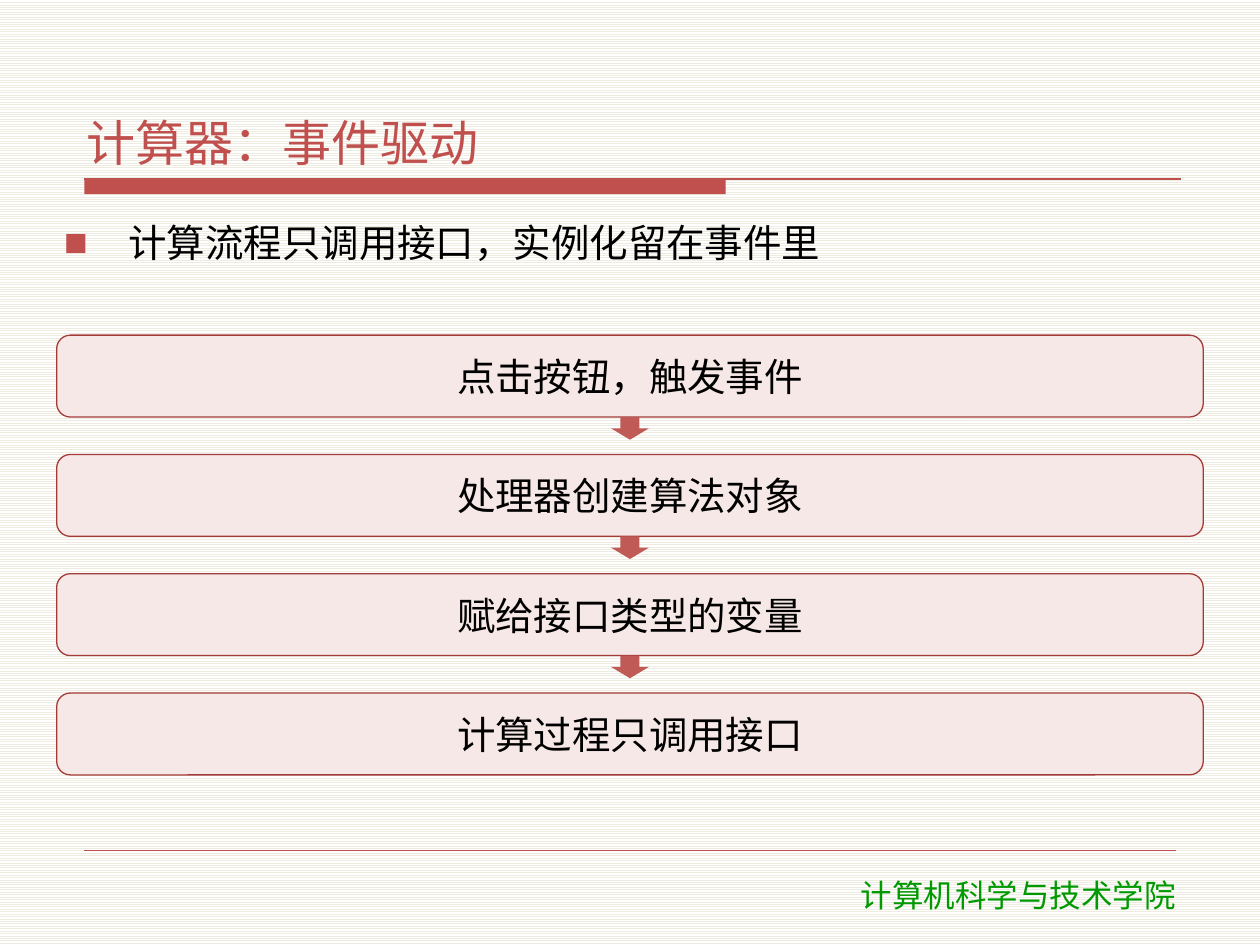
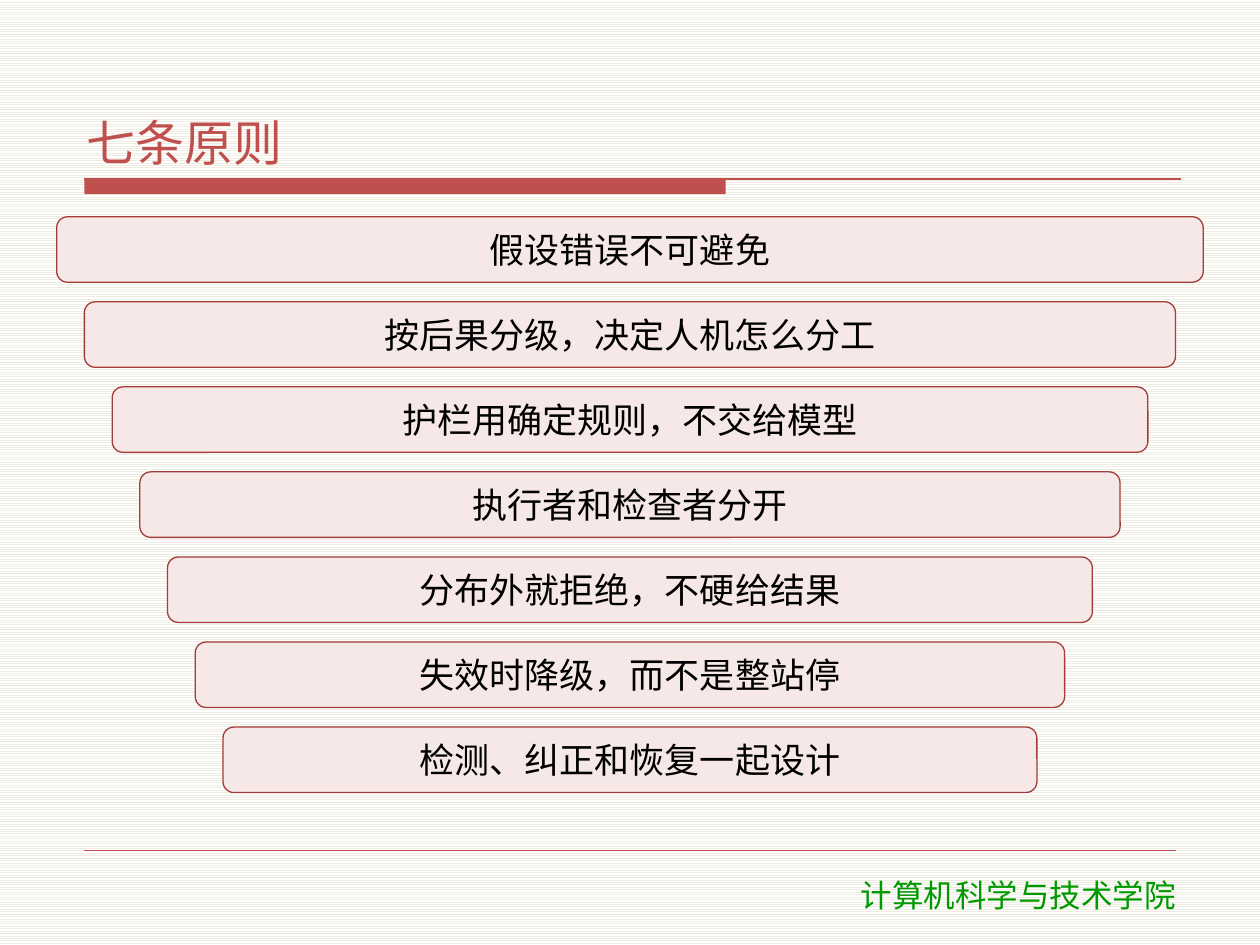
from dataclasses import dataclass

from lxml.etree import SubElement
from pptx import Presentation
from pptx.dml.color import RGBColor
from pptx.enum.dml import MSO_PATTERN
from pptx.enum.shapes import MSO_CONNECTOR, MSO_SHAPE
from pptx.enum.text import MSO_ANCHOR as ANCHOR, PP_ALIGN as ALIGN
from pptx.oxml.ns import qn
from pptx.util import Inches, Pt

FLOW = {
    "title": "计算器：事件驱动",
    "lead": "计算流程只调用接口，实例化留在事件里",
    "steps": ["点击按钮，触发事件", "处理器创建算法对象", "赋给接口类型的变量", "计算过程只调用接口"],
}
PRINCIPLES = {
    "title": "七条原则",
    "bars": [
        "假设错误不可避免",
        "按后果分级，决定人机怎么分工",
        "护栏用确定规则，不交给模型",
        "执行者和检查者分开",
        "分布外就拒绝，不硬给结果",
        "失效时降级，而不是整站停",
        "检测、纠正和恢复一起设计",
    ],
}
SCHOOL = "计算机科学与技术学院"


@dataclass(frozen=True)
class Theme:
    accent: str = "C0504D"
    arrow: str = "C05A56"
    bar: str = "F6E8E6"
    bar_edge: str = "A33B38"
    ink: str = "000000"
    footer: str = "009900"
    stripe: str = "EEECE1"
    paper: str = "FFFFFF"
    font: str = "Noto Sans CJK SC"
    footer_font: str = "DejaVu Sans"
    title_size: int = 28
    body_size: int = 22
    bar_size: int = 20
    footer_size: int = 18


THEME = Theme()
SLIDE_W, SLIDE_H = 10, 7.5
BODY_LEFT, BODY_TOP, BODY_W = 0.45, 1.72, 9.1
RULE_LEFT, RULE_TOP = 0.67, 1.42
TIGHT = (0.06, 0.02)


def rgb(value):
    return RGBColor.from_string(value)


def write(shape, text, *, size=THEME.body_size, color=THEME.ink, font=THEME.font,
          align=ALIGN.LEFT, anchor=ANCHOR.TOP, insets=TIGHT, after=2, bullet=None):
    frame = shape.text_frame
    frame.word_wrap = True
    frame.vertical_anchor = anchor
    frame.margin_left = frame.margin_right = Inches(insets[0])
    frame.margin_top = frame.margin_bottom = Inches(insets[1])
    paragraph = frame.paragraphs[0]
    if bullet:
        add_bullet(paragraph, bullet)
    paragraph.alignment = align
    paragraph.space_before, paragraph.space_after = Pt(0), Pt(after)
    run = paragraph.add_run()
    run.text = text
    run.font.size = Pt(size)
    run.font.color.rgb = rgb(color)
    run.font.name = font
    SubElement(run.font._element, qn("a:ea"), typeface=font)


def add_bullet(paragraph, char, hang=0.51):
    properties = paragraph._p.get_or_add_pPr()
    properties.set("marL", str(Inches(hang)))
    properties.set("indent", str(-Inches(hang)))
    SubElement(SubElement(properties, qn("a:buClr")), qn("a:srgbClr"), val=THEME.accent)
    SubElement(properties, qn("a:buSzPct"), val="65000")
    SubElement(properties, qn("a:buFont"), typeface=THEME.footer_font)
    SubElement(properties, qn("a:buChar"), char=char)


def add_text(slide, box, text, **style):
    write(slide.shapes.add_textbox(*map(Inches, box)), text, **style)


def add_block(slide, kind, box, fill, edge=None):
    block = slide.shapes.add_shape(kind, *map(Inches, box))
    block.shadow.inherit = False
    block.fill.solid()
    block.fill.fore_color.rgb = rgb(fill)
    if edge:
        block.line.color.rgb = rgb(edge)
        block.line.width = Pt(0.75)
    else:
        block.line.fill.background()
    return block


def add_bar(slide, box, text, size):
    bar = add_block(slide, MSO_SHAPE.ROUNDED_RECTANGLE, box, THEME.bar, THEME.bar_edge)
    write(bar, text, size=size, align=ALIGN.CENTER, anchor=ANCHOR.MIDDLE)


def add_rule(slide, right, y, width):
    rule = slide.shapes.add_connector(
        MSO_CONNECTOR.STRAIGHT, *map(Inches, (RULE_LEFT, y, right, y)))
    rule.line.color.rgb = rgb(THEME.accent)
    rule.line.width = Pt(width)
    SubElement(rule._element.spPr, qn("a:effectLst"))


def start_slide(deck, title):
    """Add a slide with the striped background, rules, footer and title."""
    slide = deck.slides.add_slide(deck.slide_layouts[6])
    paper = slide.background.fill
    paper.patterned()
    paper.pattern = MSO_PATTERN.LIGHT_HORIZONTAL
    paper.fore_color.rgb = rgb(THEME.stripe)
    paper.back_color.rgb = rgb(THEME.paper)
    add_block(slide, MSO_SHAPE.RECTANGLE, (RULE_LEFT, RULE_TOP, 5.09, 0.12), THEME.accent)
    add_rule(slide, 9.37, RULE_TOP, 0.75)
    add_rule(slide, 9.33, 6.75, 0.25)
    add_text(slide, (6.07, 6.9, 4.02, 0.4), SCHOOL, size=THEME.footer_size,
             color=THEME.footer, font=THEME.footer_font, align=ALIGN.CENTER,
             insets=(0.1, 0.05), after=0)
    add_text(slide, (0.63, 0.33, 8.75, 1.05), title, size=THEME.title_size,
             color=THEME.accent, anchor=ANCHOR.BOTTOM)
    return slide


def build_flow(deck):
    slide = start_slide(deck, FLOW["title"])
    add_text(slide, (BODY_LEFT, BODY_TOP, BODY_W, 0.86), FLOW["lead"], bullet="■")
    steps = FLOW["steps"]
    first, last, height = 2.66, 5.5, 0.65
    arrow_w, arrow_h = 0.3, 0.18
    pitch = (last - first) / (len(steps) - 1)
    for i, step in enumerate(steps):
        top = first + i * pitch
        add_bar(slide, (BODY_LEFT, top, BODY_W, height), step, THEME.body_size)
        if i < len(steps) - 1:
            add_block(slide, MSO_SHAPE.DOWN_ARROW,
                      ((SLIDE_W - arrow_w) / 2, top + height, arrow_w, arrow_h), THEME.arrow)


def build_principles(deck):
    slide = start_slide(deck, PRINCIPLES["title"])
    bars = PRINCIPLES["bars"]
    last, height, inset = 5.77, 0.52, 0.22
    pitch = (last - BODY_TOP) / (len(bars) - 1)
    for i, principle in enumerate(bars):
        box = (BODY_LEFT + i * inset, BODY_TOP + i * pitch, BODY_W - 2 * i * inset, height)
        add_bar(slide, box, principle, THEME.bar_size)


def main():
    deck = Presentation()
    deck.slide_width, deck.slide_height = Inches(SLIDE_W), Inches(SLIDE_H)
    build_flow(deck)
    build_principles(deck)
    deck.save("out.pptx")


if __name__ == "__main__":
    main()
